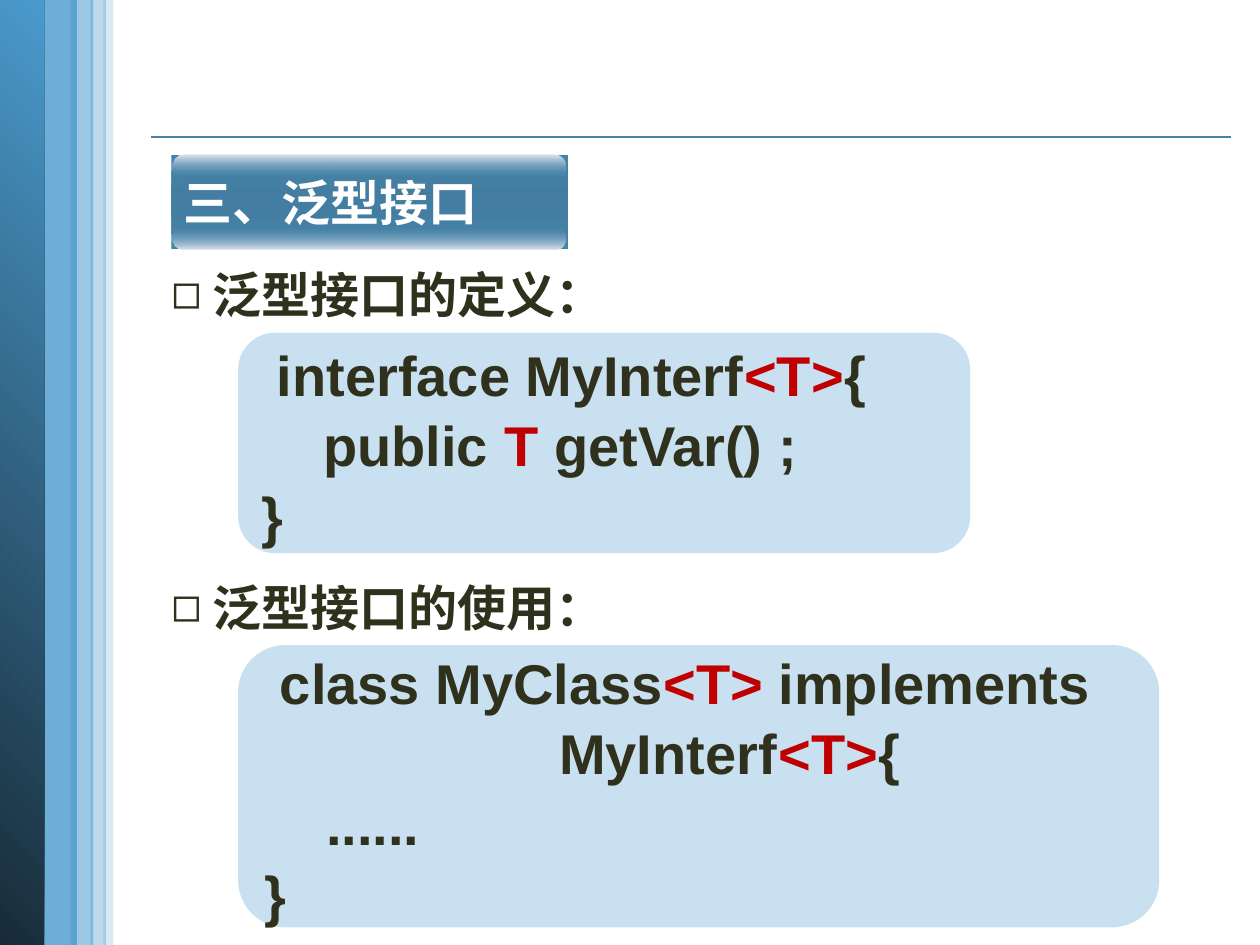
from lxml import etree
from pptx import Presentation
from pptx import util as u
from pptx.dml.color import RGBColor
from pptx.enum import shapes, text
from pptx.oxml.ns import qn

BLUE = "4A9ACC"
STEEL = "4582A7"
DARK = "30311D"
RED = "C00000"
WHITE = "FFFFFF"
TWO_CONTENT = 3


def color(value):
    return RGBColor.from_string(value)


def add_alpha(color_element, percent):
    etree.SubElement(color_element, qn("a:alpha"), val=str(percent * 1000))


class SlideBuilder:
    """Holds the type style and the slide being built."""

    font_name = "Arial"
    heading_size = u.Pt(28)
    code_size = u.Pt(32)

    def __init__(self, slide):
        self.slide = slide

    def place(self, shape, left, top, width, height):
        shape.left, shape.top = u.Inches(left), u.Inches(top)
        shape.width, shape.height = u.Inches(width), u.Inches(height)

    def add_run(self, paragraph, words, size, hex_color):
        run = paragraph.add_run()
        run.text = words
        run.font.name = self.font_name
        run.font.size = size
        run.font.bold = True
        run.font.color.rgb = color(hex_color)

    def fill_solid(self, shape, hex_color, opacity):
        shape.fill.solid()
        shape.fill.fore_color.rgb = color(hex_color)
        add_alpha(shape._element.spPr.find(qn("a:solidFill"))[0], opacity)

    def fill_gradient(self, shape, stops, angle):
        """Fill with (position, colour, opacity) stops; angle is counter-clockwise."""
        shape.fill.gradient()
        shape.fill.gradient_angle = angle
        stop_list = shape._element.spPr.find(qn("a:gradFill")).find(qn("a:gsLst"))
        for stop in list(stop_list):
            stop_list.remove(stop)
        for position, hex_color, opacity in stops:
            stop = etree.SubElement(stop_list, qn("a:gs"), pos=str(position * 1000))
            add_alpha(etree.SubElement(stop, qn("a:srgbClr"), val=hex_color), opacity)

    def panel(self, left, top, width, height, corner=0):
        kind = shapes.MSO_SHAPE.ROUNDED_RECTANGLE if corner else shapes.MSO_SHAPE.RECTANGLE
        shape = self.slide.shapes.add_shape(
            kind, u.Inches(left), u.Inches(top), u.Inches(width), u.Inches(height))
        if corner:
            shape.adjustments[0] = corner
        shape.shadow.inherit = False
        shape.line.fill.background()
        return shape

    def stripe(self, left, width, opacity):
        self.fill_solid(self.panel(left, 0, width, 7.5), BLUE, opacity)

    def rule(self, left, right, top):
        line = self.slide.shapes.add_connector(
            shapes.MSO_CONNECTOR.STRAIGHT,
            u.Inches(left), u.Inches(top), u.Inches(right), u.Inches(top))
        line.line.color.rgb = color(STEEL)
        line.line.width = u.Pt(1)
        etree.SubElement(line._element.spPr, qn("a:effectLst"))

    def title(self, words, left, top, width, height):
        """Turn the title placeholder into a glossy rounded button."""
        shape = self.slide.shapes.title
        self.place(shape, left, top, width, height)
        geometry = etree.SubElement(shape._element.spPr, qn("a:prstGeom"), prst="roundRect")
        guides = etree.SubElement(geometry, qn("a:avLst"))
        etree.SubElement(guides, qn("a:gd"), name="adj", fmla="val 17500")
        self.fill_gradient(
            shape, [(0, STEEL, 100), (50, "437DA1", 100), (100, STEEL, 100)], 270)
        frame = shape.text_frame
        frame.word_wrap = True
        frame.auto_size = text.MSO_AUTO_SIZE.NONE
        frame.vertical_anchor = text.MSO_ANCHOR.MIDDLE
        paragraph = frame.paragraphs[0]
        paragraph.alignment = text.PP_ALIGN.LEFT
        self.add_run(paragraph, words, self.heading_size, WHITE)

        gloss_height = 0.19
        for gloss_top, stops in (
            (top + height - gloss_height, [(0, STEEL, 0), (100, "E2E7ED", 100)]),
            (top, [(0, "EAEDF1", 100), (100, STEEL, 0)]),
        ):
            gloss = self.panel(left + 0.01, gloss_top, width - 0.03, gloss_height, 0.5)
            self.fill_gradient(gloss, stops, 270)

    def bullet(self, index, words, top):
        shape = self.slide.placeholders[index]
        self.place(shape, 1.26, top, 8, 0.57)
        frame = shape.text_frame
        frame.word_wrap = True
        frame.auto_size = text.MSO_AUTO_SIZE.SHAPE_TO_FIT_TEXT
        paragraph = frame.paragraphs[0]
        properties = paragraph._p.get_or_add_pPr()
        indent = u.Inches(0.33)
        properties.set("marL", str(indent))
        properties.set("indent", str(-indent))
        etree.SubElement(properties, qn("a:buFont"), typeface=self.font_name)
        etree.SubElement(properties, qn("a:buChar"), char="◻")
        paragraph.space_before = u.Pt(0)
        self.add_run(paragraph, words, self.heading_size, DARK)

    def code(self, lines, top, width, height):
        """Draw a code panel; each line is a list of (words, colour) runs."""
        shape = self.panel(1.89, top, width, height, 0.167)
        self.fill_solid(shape, BLUE, 30)
        frame = shape.text_frame
        frame.word_wrap = True
        frame.vertical_anchor = text.MSO_ANCHOR.MIDDLE
        for number, runs in enumerate(lines):
            paragraph = frame.add_paragraph() if number else frame.paragraphs[0]
            paragraph.alignment = text.PP_ALIGN.LEFT
            paragraph.line_spacing = 1.05
            for words, hex_color in runs:
                self.add_run(paragraph, words, self.code_size, hex_color)


def main():
    presentation = Presentation()
    presentation.slide_width = u.Inches(10)
    presentation.slide_height = u.Inches(7.5)
    layout = presentation.slide_layouts[TWO_CONTENT]
    builder = SlideBuilder(presentation.slides.add_slide(layout))

    builder.rule(1.2, 9.77, 1.09)
    builder.stripe(0.3, 0.31, 80)
    sidebar = builder.panel(0, 0, 0.35, 7.5)
    builder.fill_gradient(sidebar, [(0, "182B38", 100), (100, BLUE, 100)], 45)
    for left, width, opacity in ((0.82, 0.08, 20), (0.56, 0.18, 54), (0.72, 0.12, 37)):
        builder.stripe(left, width, opacity)

    builder.title("三、泛型接口", 1.36, 1.23, 3.15, 0.75)

    builder.bullet(1, "泛型接口的定义：", 2.05)
    builder.code([
        [(" interface MyInterf", DARK), ("<T>", RED), ("{", DARK)],
        [("    public ", DARK), ("T ", RED), ("getVar() ;", DARK)],
        [("}", DARK)],
    ], 2.64, 5.81, 1.75)

    builder.bullet(2, "泛型接口的使用：", 4.53)
    builder.code([
        [(" class MyClass", DARK), ("<T> ", RED), ("implements", DARK)],
        [("                   MyInterf", DARK), ("<T>", RED), ("{", DARK)],
        [("    ......", DARK)],
        [("}", DARK)],
    ], 5.12, 7.31, 2.24)

    presentation.save("out.pptx")


if __name__ == "__main__":
    main()
